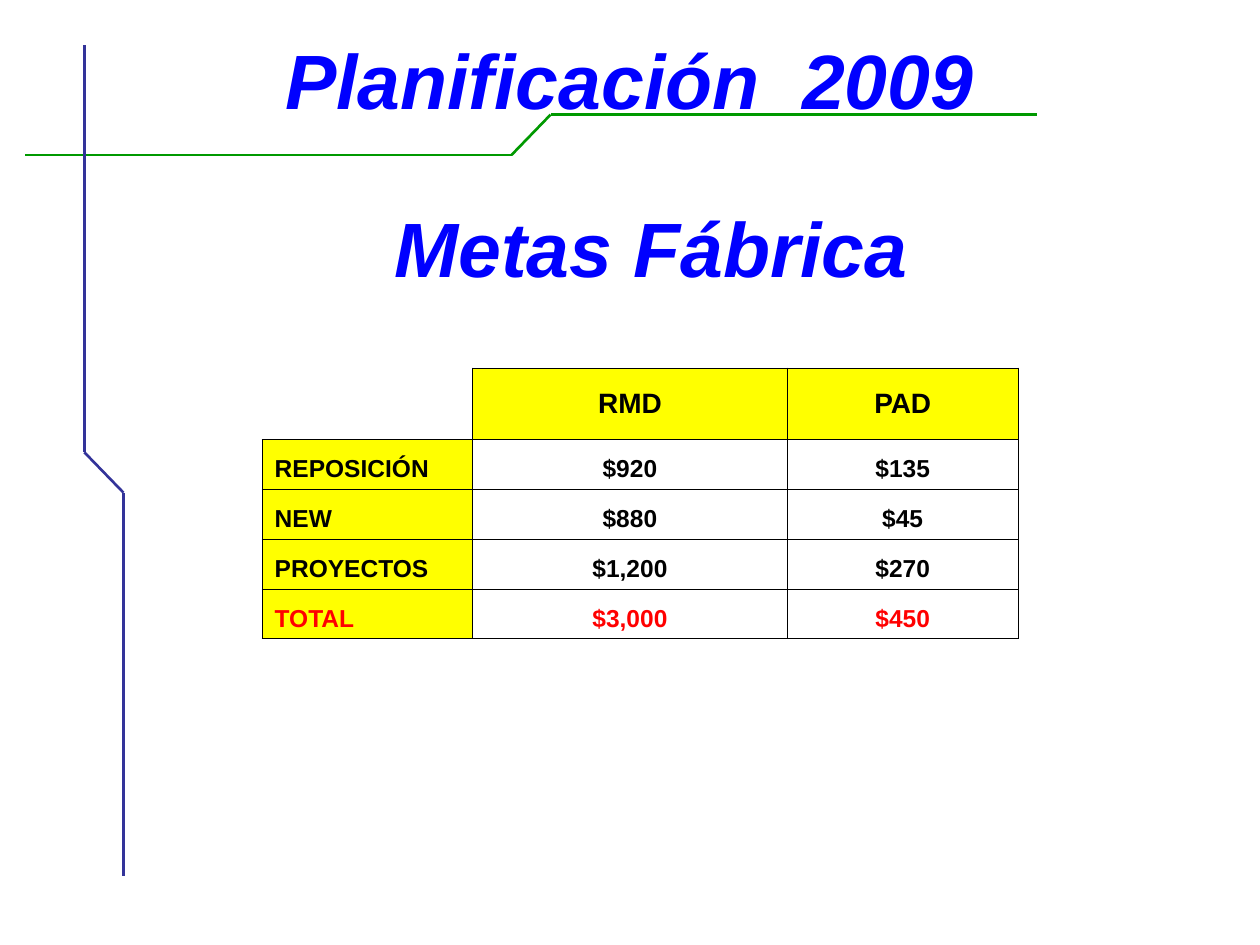
from itertools import pairwise

from lxml import etree
from pptx import Presentation
from pptx import util as u
from pptx.dml.color import RGBColor
from pptx.enum import shapes, text
from pptx.oxml import ns

BLUE = RGBColor(0x00, 0x00, 0xFF)
GREEN = RGBColor(0x00, 0x99, 0x00)
INDIGO = RGBColor(0x33, 0x33, 0x99)
YELLOW = RGBColor(0xFF, 0xFF, 0x00)
BLACK = RGBColor(0x00, 0x00, 0x00)
RED = RGBColor(0xFF, 0x00, 0x00)

GOALS = [
    ["", "RMD", "PAD"],
    ["REPOSICIÓN", "$920", "$135"],
    ["NEW", "$880", "$45"],
    ["PROYECTOS", "$1,200", "$270"],
    ["TOTAL", "$3,000", "$450"],
]


def style_font(paragraph, size, color, italic=False):
    font = paragraph.font
    font.name = "Arial"
    font.size = u.Pt(size)
    font.bold = True
    font.italic = italic
    font.color.rgb = color


def add_bent_rule(slide, left, top, bends, color):
    points = [(u.Inches(left + x), u.Inches(top + y)) for x, y in bends]
    for start, end in pairwise(points):
        segment = slide.shapes.add_connector(
            shapes.MSO_CONNECTOR.STRAIGHT, *start, *end)
        segment.line.color.rgb = color
        segment.line.width = u.Pt(1.5)
        properties = segment._element.spPr
        etree.SubElement(properties, ns.qn("a:effectLst"))


def add_heading(slide, left, top, width, height, wording):
    heading = slide.shapes.add_textbox(
        u.Inches(left), u.Inches(top), u.Inches(width), u.Inches(height))
    frame = heading.text_frame
    frame.word_wrap = True
    frame.vertical_anchor = text.MSO_ANCHOR.MIDDLE
    paragraph = frame.paragraphs[0]
    paragraph.text = wording
    paragraph.alignment = text.PP_ALIGN.CENTER
    style_font(paragraph, 44, BLUE, italic=True)


def add_borders(cell, sides):
    properties = cell._tc.get_or_add_tcPr()
    for side in sides:
        line = etree.SubElement(
            properties, ns.qn(f"a:ln{side}"), w=str(u.Pt(0.45)))
        fill = etree.SubElement(line, ns.qn("a:solidFill"))
        etree.SubElement(fill, ns.qn("a:srgbClr"), val=str(BLACK))


def fill_cell(cell, wording, row, column):
    is_corner = row == column == 0
    is_header = row == 0
    add_borders(cell, "RB" if is_corner else "LRTB")
    if not is_corner and (is_header or column == 0):
        cell.fill.solid()
        cell.fill.fore_color.rgb = YELLOW
    else:
        cell.fill.background()
    cell.vertical_anchor = (
        text.MSO_ANCHOR.MIDDLE if is_header else text.MSO_ANCHOR.BOTTOM)
    paragraph = cell.text_frame.paragraphs[0]
    paragraph.text = wording
    paragraph.alignment = (
        text.PP_ALIGN.CENTER if column else text.PP_ALIGN.LEFT)
    color = RED if row == len(GOALS) - 1 else BLACK
    style_font(paragraph, 16 if is_header else 14, color)


def add_goals_table(slide, left, top, width, height):
    table = slide.shapes.add_table(
        len(GOALS), len(GOALS[0]), u.Inches(left), u.Inches(top),
        u.Inches(width), u.Inches(height)).table
    table.first_row = False
    table.horz_banding = False
    label_width, rmd_width, header_height = 1.67, 2.5, 0.57
    column_widths = [label_width, rmd_width, width - label_width - rmd_width]
    for column, column_width in zip(table.columns, column_widths):
        column.width = u.Inches(column_width)
    body_height = (height - header_height) / (len(GOALS) - 1)
    for row, goals in enumerate(GOALS):
        table.rows[row].height = u.Inches(body_height if row else header_height)
        for column, wording in enumerate(goals):
            fill_cell(table.cell(row, column), wording, row, column)


def main():
    deck = Presentation()
    deck.slide_width = u.Inches(10)
    deck.slide_height = u.Inches(7.5)
    slide = deck.slides.add_slide(deck.slide_layouts[6])
    add_bent_rule(slide, 0.2, 0.91,
                  [(0, 0.32), (3.86, 0.32), (4.17, 0), (8.03, 0)], GREEN)
    add_bent_rule(slide, 0.67, 0.36,
                  [(0, 0), (0, 3.23), (0.31, 3.55), (0.31, 6.59)], INDIGO)
    add_heading(slide, 0.67, 1.33, 9, 1.25, "Metas Fábrica")
    add_heading(slide, 0.5, 0, 9, 1.25, "Planificación  2009")
    add_goals_table(slide, 2.08, 2.92, 6, 2.15)
    deck.save("out.pptx")


if __name__ == "__main__":
    main()
